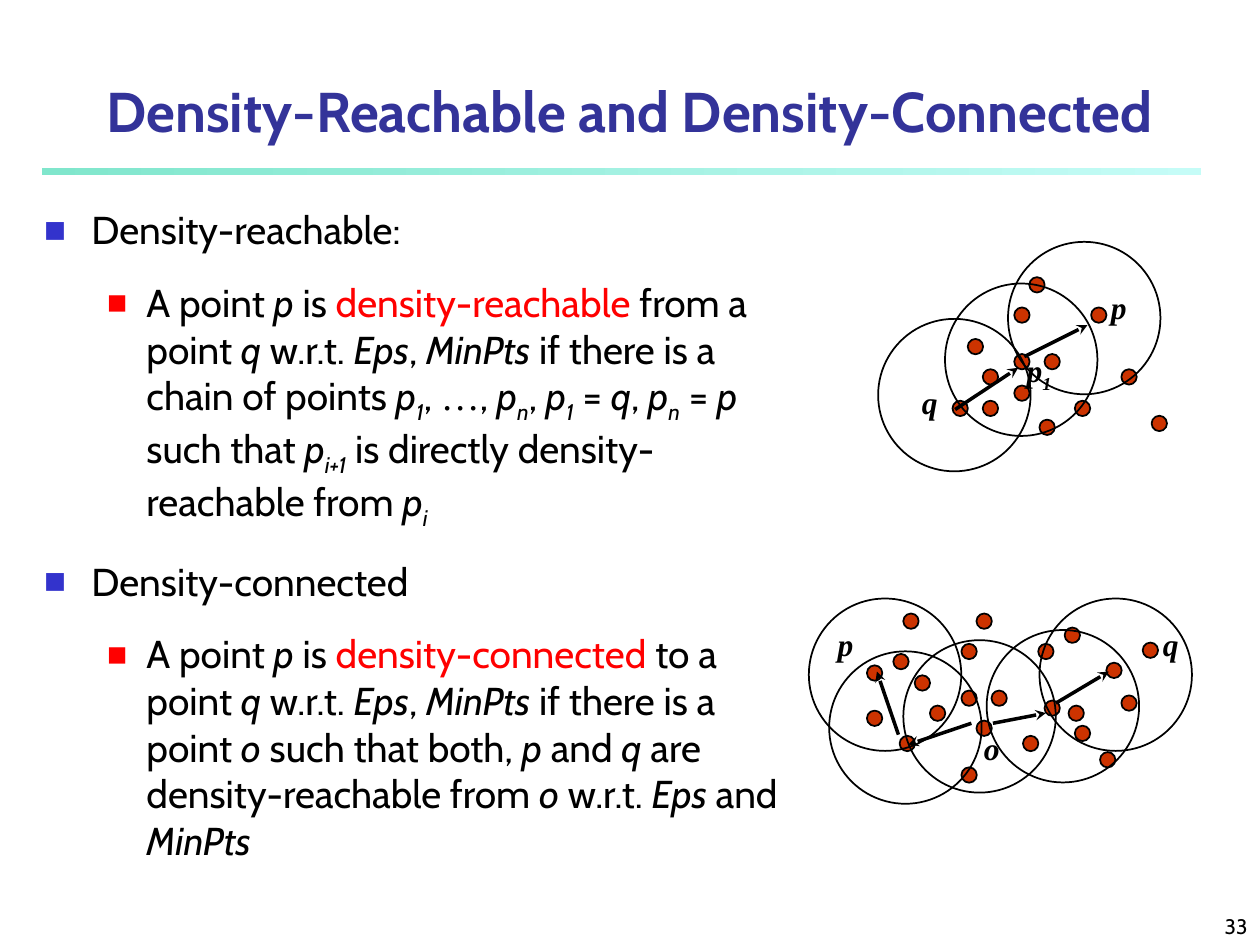
"""Build a slide on density-reachable and density-connected points."""
from lxml import etree
from pptx import Presentation
from pptx import util as u
from pptx.dml.color import RGBColor
from pptx.enum import shapes, text
from pptx.oxml.ns import qn

Pt = u.Pt
COLORS = {"title": "333399", "ink": "000000", "key": "FF0000", "dot": "CC3300",
          "bullet": "3333CC", "subbullet": "FF0000",
          "rule_start": "80E6CC", "rule_end": "C5FCF7"}
SANS, SERIF = "Cabin", "Times New Roman"
DOT, CIRCLE = 8.8, 87.1

BODY = [
    (0, [("Density-reachable:", "")]),
    (1, [("A point ", ""), ("p", "i"), (" is ", ""), ("density-reachable", "key"),
         (" from a point ", ""), ("q", "i"), (" w.r.t. ", ""), ("Eps", "i"),
         (", ", ""), ("MinPts", "i"), (" if there is a chain of points ", ""),
         ("p", "i"), ("1", "sub"), (", ", ""), ("…", "serif"), (", ", ""),
         ("p", "i"), ("n", "sub"), (", ", ""), ("p", "i"), ("1", "sub"),
         (" = ", ""), ("q", "i"), (", ", ""), ("p", "i"), ("n", "sub"),
         (" = ", ""), ("p", "i"), (" such that ", ""), ("p", "i"), ("i+1", "sub"),
         (" is directly density-reachable from ", ""), ("p", "i"), ("i", "sub")]),
    (0, [("Density-connected", "")]),
    (1, [("A point ", ""), ("p", "i"), (" is ", ""), ("density-connected", "key"),
         (" to a point ", ""), ("q", "i"), (" w.r.t. ", ""), ("Eps", "i"),
         (", ", ""), ("MinPts", "i"), (" if there is a point ", ""), ("o ", "i"),
         ("such that both, ", ""), ("p", "i"), (" and ", ""), ("q", "i"),
         (" are density-reachable from ", ""), ("o", "i"), (" w.r.t. ", ""),
         ("Eps", "i"), (" and ", ""), ("MinPts", "i")]),
]
LEVELS = [(27, -27, "bullet", 60), (58.5, -22.5, "subbullet", 55)]

FIGURES = [
    {"dots": [(553, 193.7), (579.6, 202.3), (579.6, 175.7), (544.3, 229),
              (561.6, 211), (561.6, 229), (594, 239.8), (588.2, 158.4),
              (640.8, 211), (623.5, 175.7), (579.6, 220.3), (596.9, 202.3),
              (614.2, 229), (658.1, 237.6)],
     "circles": [(540, 162), (501.8, 182.2), (576, 138.2)],
     "arrows": [(585.4, 203.8, 621.4, 185.8), (545.8, 234, 581.8, 210.2)],
     "labels": [("p", "", 627.8, 161.3), ("q", "", 519.8, 215.3),
                ("p", "1", 579.6, 197.3)]},
    {"dots": [(522.7, 385.9), (549.4, 394.6), (549.4, 367.9), (514.1, 420.5),
              (531.4, 403.2), (549.4, 438.5), (558, 411.8), (558, 350.6),
              (610.6, 403.2), (593.3, 367.9), (495.4, 406.1), (566.6, 394.6),
              (584.6, 420.5), (628.6, 429.8), (640.8, 397.4), (596.9, 400.3),
              (614.2, 414.7), (653, 367.2), (608.4, 358.6), (632.2, 378.7),
              (510.5, 373.7), (495.4, 380.2), (516.2, 350.6)],
     "circles": [(473.8, 372.2), (516.2, 365.8), (563.8, 360), (594, 342),
                 (462.2, 342)],
     "arrows": [(555.1, 413.3, 519.1, 425.5), (567.4, 413.3, 597.6, 407.5),
                (513.4, 419.8, 501.1, 383.8), (603.4, 401.8, 633.6, 383.8)],
     "labels": [("p", "", 471.6, 353.5), ("q", "", 657.4, 353.5),
                ("o", "", 555.1, 413.3)]},
]


def add_span(para, words, size, font=SANS, color="ink", bold=False, italic=False, sub=False):
    span = para.add_run()
    span.text = words
    span.font.size, span.font.name = Pt(size), font
    span.font.bold, span.font.italic = bold, italic
    span.font.color.rgb = RGBColor.from_string(COLORS[color])
    if sub:
        span.font._element.set("baseline", "-25000")


def add_circle(group, left, top, size, fill=None):
    circle = group.shapes.add_shape(shapes.MSO_SHAPE.OVAL, Pt(left), Pt(top), Pt(size), Pt(size))
    circle.shadow.inherit = False
    circle.line.color.rgb = RGBColor.from_string(COLORS["ink"])
    circle.line.width = Pt(1)
    if fill:
        circle.fill.solid()
        circle.fill.fore_color.rgb = RGBColor.from_string(COLORS[fill])
    else:
        circle.fill.background()


deck = Presentation()
deck.slide_width, deck.slide_height = Pt(720), Pt(540)
page = deck.slides.add_slide(deck.slide_layouts[1])

rule = page.shapes.add_shape(shapes.MSO_SHAPE.RECTANGLE, Pt(23.8), Pt(95.8), Pt(662.4), Pt(4))
rule.shadow.inherit = False
rule.line.fill.background()
rule.fill.gradient()
rule.fill.gradient_angle = 0
for stop, name in zip(rule.fill.gradient_stops, ("rule_start", "rule_end")):
    stop.color.rgb = RGBColor.from_string(COLORS[name])

title = page.shapes.title
title.left, title.top, title.width, title.height = Pt(0), Pt(30), Pt(720), Pt(66)
title.text_frame.vertical_anchor = text.MSO_ANCHOR.MIDDLE
title.text_frame.auto_size = text.MSO_AUTO_SIZE.NONE
title.text_frame.paragraphs[0].alignment = text.PP_ALIGN.CENTER
add_span(title.text_frame.paragraphs[0], "Density-Reachable and Density-Connected",
         32, color="title", bold=True)

body = page.placeholders[1]
body.left, body.top, body.width, body.height = Pt(18), Pt(114), Pt(444), Pt(396)
body.text_frame.auto_size = text.MSO_AUTO_SIZE.NONE
for index, (level, spans) in enumerate(BODY):
    para = body.text_frame.add_paragraph() if index else body.text_frame.paragraphs[0]
    para.level, para.space_before = level, Pt(15)
    margin, indent, bullet, percent = LEVELS[level]
    props = para._p.get_or_add_pPr()
    props.set("marL", str(Pt(margin)))
    props.set("indent", str(Pt(indent)))
    shade = etree.SubElement(props, qn("a:buClr"))
    etree.SubElement(shade, qn("a:srgbClr"), val=COLORS[bullet])
    etree.SubElement(props, qn("a:buSzPct"), val=str(percent * 1000))
    etree.SubElement(props, qn("a:buFont"), typeface=SANS)
    etree.SubElement(props, qn("a:buChar"), char="■")
    for words, style in spans:
        add_span(para, words, 22.2, font=SERIF if style == "serif" else SANS,
                 color="key" if style == "key" else "ink",
                 italic=style in ("i", "sub"), sub=style == "sub")

for figure in FIGURES:
    group = page.shapes.add_group_shape()
    for left, top in figure["dots"]:
        add_circle(group, left, top, DOT, "dot")
    for left, top in figure["circles"]:
        add_circle(group, left, top, CIRCLE)
    for ends in figure["arrows"]:
        arrow = group.shapes.add_connector(shapes.MSO_CONNECTOR.STRAIGHT, *map(Pt, ends))
        arrow.line.width = Pt(2)
        arrow.line.color.rgb = RGBColor.from_string(COLORS["ink"])
        etree.SubElement(arrow.line._get_or_add_ln(), qn("a:tailEnd"), type="stealth")
        etree.SubElement(arrow._element.spPr, qn("a:effectLst"))
    for letter, subscript, left, top in figure["labels"]:
        box = group.shapes.add_textbox(Pt(left), Pt(top), Pt(48 if subscript else 30), Pt(29))
        box.text_frame.word_wrap = True
        para = box.text_frame.paragraphs[0]
        para.space_before = Pt(11.2)
        add_span(para, letter, 18, font=SERIF, bold=True, italic=True)
        if subscript:
            add_span(para, subscript, 18, font=SERIF, bold=True, italic=True, sub=True)

number = page.shapes.add_textbox(Pt(570), Pt(510), Pt(150), Pt(30))
number.text_frame.word_wrap = True
number.text_frame.vertical_anchor = text.MSO_ANCHOR.BOTTOM
number.text_frame.paragraphs[0].alignment = text.PP_ALIGN.RIGHT
add_span(number.text_frame.paragraphs[0], "33", 12)

deck.save("out.pptx")
